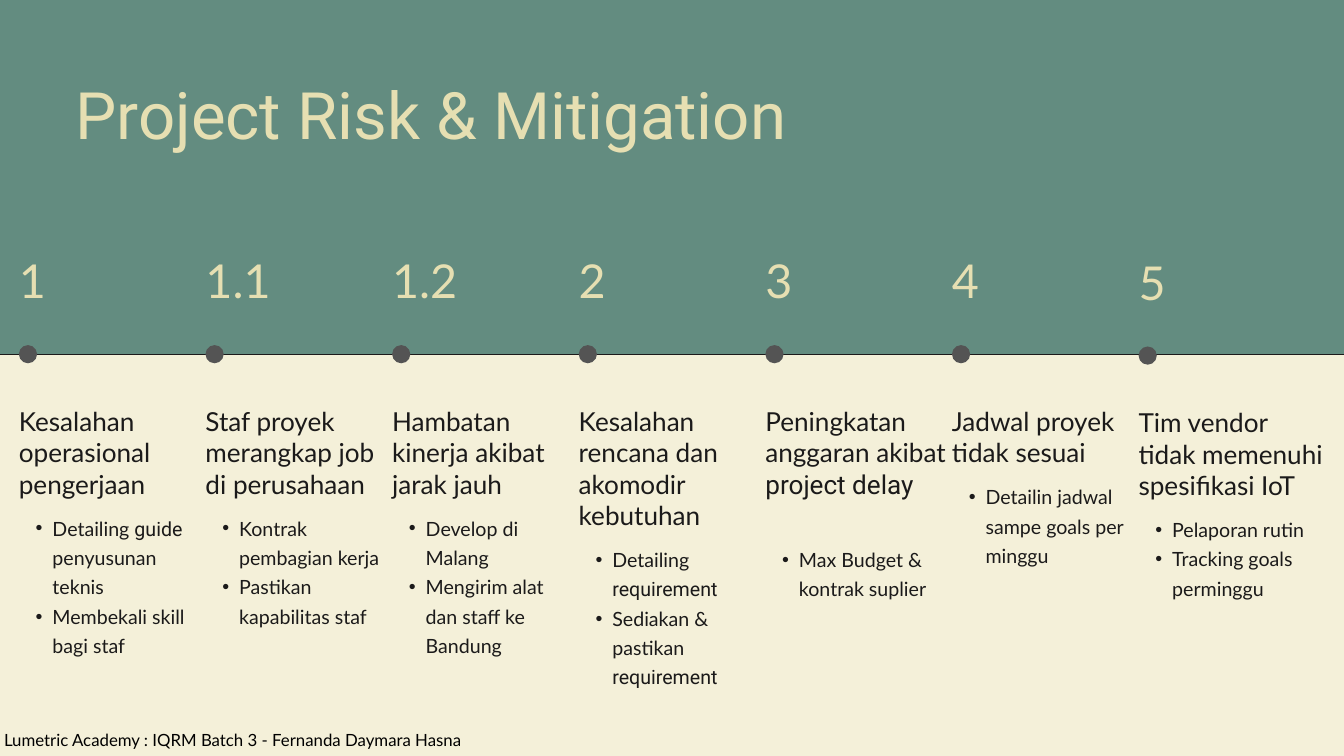
import copy

import pptx
import pptx.dml.color
import pptx.enum.shapes
import pptx.enum.text
import pptx.oxml
import pptx.oxml.ns
import pptx.util

EMU_PER_PX = 9525
COLORS = {
    "green": "638C80",
    "cream": "F4F0D9",
    "sand": "E6DFB2",
    "ink": "1B1A1A",
    "dot": "545454",
    "black": "000000",
}
COLUMN_LEFT, COLUMN_PITCH, COLUMN_WIDTH = 27, 266.6, 267
HEADING_LINE = 44.8
RISKS = [
    ("1", "Kesalahan operasional pengerjaan", 3, 0,
     ["Detailing |guide| penyusunan teknis", "Membekali skill bagi staf"]),
    ("1.1", "Staf proyek merangkap job di perusahaan", 3, 0,
     ["Kontrak pembagian kerja", "Pastikan kapabilitas staf"]),
    ("1.2", "Hambatan kinerja akibat jarak jauh", 3, 0,
     ["Develop di Malang", "Mengirim alat dan staff ke Bandung"]),
    ("2", "Kesalahan rencana dan akomodir kebutuhan", 4, 0,
     ["Detailing |requirement|", "Sediakan & pastikan |requirement|"]),
    ("3", "Peningkatan anggaran akibat |project delay|", 4, 0,
     ["Max Budget & kontrak suplier"]),
    ("4", "Jadwal proyek tidak sesuai", 2, 0,
     ["Detailin jadwal sampe goals per minggu"]),
    ("5", "Tim vendor tidak memenuhi spesifikasi IoT", 3, 2,
     ["Pelaporan rutin", "Tracking goals perminggu"]),
]


def px(length):
    """Turn a length in px into EMU."""
    return pptx.util.Emu(round(length * EMU_PER_PX))


def rgb(name):
    """Return the named colour."""
    return pptx.dml.color.RGBColor.from_string(COLORS[name])


def move(shape, left, top, width, height):
    """Place a shape on the slide."""
    shape.left, shape.top = px(left), px(top)
    shape.width, shape.height = px(width), px(height)


def add_bullet(paragraph):
    """Give a paragraph a hanging round bullet."""
    paragraph.level = 1
    properties = paragraph._p.get_or_add_pPr()
    properties.set("marL", str(px(48)))
    properties.set("indent", str(px(-24)))
    namespace = pptx.oxml.ns.nsdecls("a")
    for xml in (f'<a:buFont {namespace} typeface="Arial"/>',
                f'<a:buChar {namespace} char="•"/>'):
        properties.append(pptx.oxml.parse_xml(xml))


def write(shape, *lines, size, leading, color, font="Lato", align="LEFT", bullets=False):
    """Fill a shape with paragraphs; parts between bars are set in Roboto."""
    frame = shape.text_frame
    frame.word_wrap = True
    frame.auto_size = pptx.enum.text.MSO_AUTO_SIZE.NONE
    frame.vertical_anchor = pptx.enum.text.MSO_ANCHOR.TOP
    frame.margin_left = frame.margin_top = frame.margin_right = frame.margin_bottom = 0
    for number, line in enumerate(lines):
        paragraph = frame.add_paragraph() if number else frame.paragraphs[0]
        paragraph.alignment = getattr(pptx.enum.text.PP_ALIGN, align)
        paragraph.line_spacing = pptx.util.Pt(leading)
        paragraph.space_before = paragraph.space_after = pptx.util.Pt(0)
        if bullets:
            add_bullet(paragraph)
        for position, part in enumerate(line.split("|")):
            if part:
                run = paragraph.add_run()
                run.text = part
                run.font.name = "Roboto" if position % 2 else font
                run.font.size = pptx.util.Pt(size)
                run.font.color.rgb = rgb(color)


def add_label(slide, text, left, top, width, height, **text_format):
    """Add a text box with formatted text."""
    label = slide.shapes.add_textbox(px(left), px(top), px(width), px(height))
    write(label, text, **text_format)


def add_filled(slide, kind, color, *box):
    """Add a plain preset shape without outline."""
    preset = getattr(pptx.enum.shapes.MSO_SHAPE, kind)
    shape = slide.shapes.add_shape(preset, *map(px, box))
    shape.shadow.inherit = False
    shape.fill.solid()
    shape.fill.fore_color.rgb = rgb(color)
    shape.line.fill.background()
    return shape


def add_list_placeholders(layout, count):
    """Extend the layout to the given number of body placeholders."""
    body = layout.placeholders[1]._element
    for number in range(1, count):
        extra = copy.deepcopy(body)
        extra.nvSpPr.cNvPr.set("id", str(100 + number))
        extra.ph.set("idx", str(20 + number))
        layout.shapes._spTree.append(extra)


def add_risk(slide, actions_body, left, number, heading, heading_lines, drop, actions):
    """Build one timeline column: number, dot, heading and list."""
    add_filled(slide, "OVAL", "dot", left, 493 + drop, 26, 26)
    add_label(slide, number, left, 367 + drop, 108, 76,
              size=50, leading=55, color="sand")
    heading_top, heading_height = 579 + drop, heading_lines * HEADING_LINE
    add_label(slide, heading, left, heading_top, COLUMN_WIDTH, heading_height,
              size=28, leading=33.6, color="ink")
    move(actions_body, left, heading_top + heading_height + 16, COLUMN_WIDTH, 205)
    write(actions_body, *actions, size=21, leading=31.5, color="ink", bullets=True)


def main():
    """Build the slide and save it."""
    deck = pptx.Presentation()
    deck.slide_width, deck.slide_height = px(1920), px(1080)
    layout = deck.slide_layouts[1]
    add_list_placeholders(layout, len(RISKS))
    slide = deck.slides.add_slide(layout)
    slide.background.fill.solid()
    slide.background.fill.fore_color.rgb = rgb("green")

    lower_half = add_filled(slide, "RECTANGLE", "cream", 0, 506, 1920, 574)
    timeline = add_filled(slide, "RECTANGLE", "ink", 0, 506, 1920, 1)
    for depth, backdrop in enumerate((lower_half, timeline)):
        slide.shapes._spTree.insert(2 + depth, backdrop._element)

    title, *action_bodies = slide.placeholders
    move(title, 108, 115, 1184, 105)
    write(title, "Project Risk & Mitigation", size=70, leading=77,
          color="sand", font="Roboto")
    for column, (actions_body, risk) in enumerate(zip(action_bodies, RISKS)):
        add_risk(slide, actions_body, COLUMN_LEFT + column * COLUMN_PITCH, *risk)
    add_label(slide, "Lumetric Academy : IQRM Batch 3 - Fernanda Daymara Hasna",
              0, 1038, 665, 32, size=18, leading=25.2, color="black", align="CENTER")
    deck.save("out.pptx")


if __name__ == "__main__":
    main()
